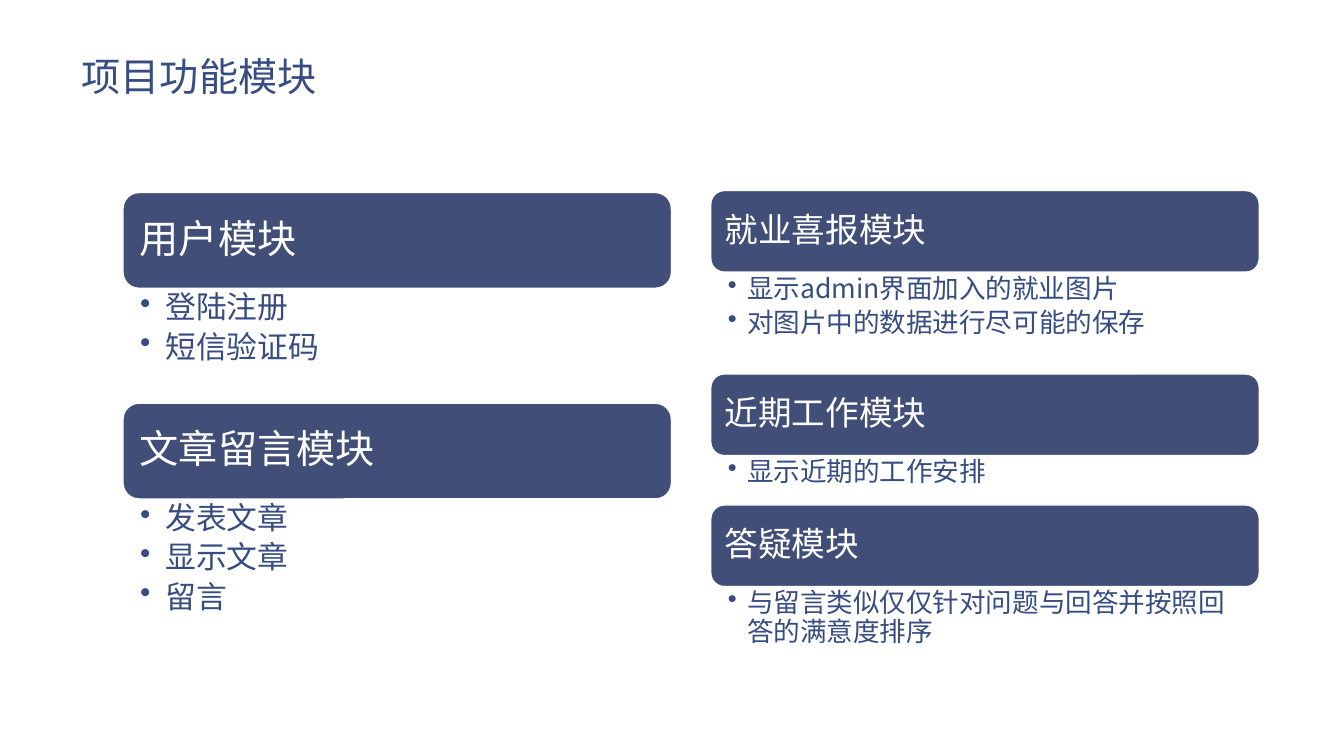
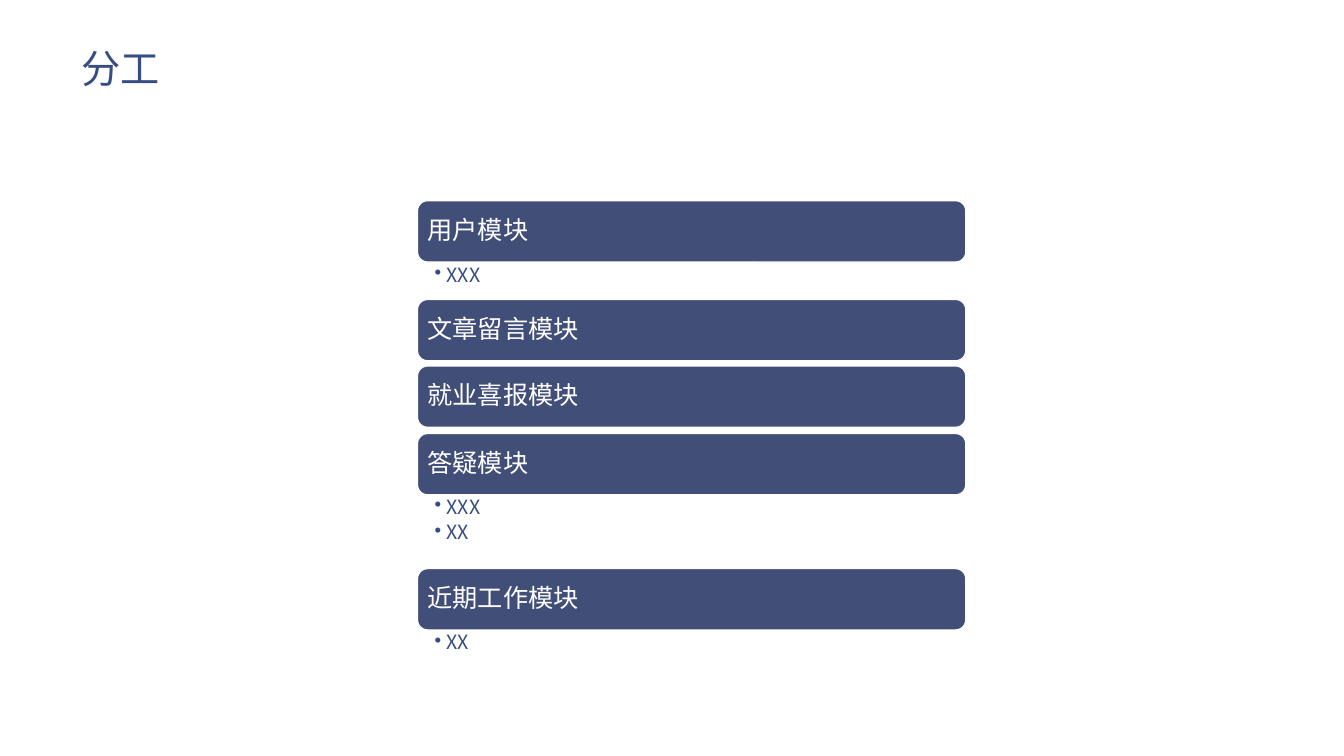
from lxml import etree
from pptx import Presentation, util as u
from pptx.dml.color import RGBColor
from pptx.enum import shapes, text
from pptx.oxml.ns import qn

PX = 9144  # 100 px to the inch
FONT = "Noto Sans CJK SC"
NAVY, BAR, WHITE = "374C81", "414E77", "FFFFFF"


def color(code):
    return RGBColor.from_string(code)


def fill(frame, lines, size, tint, pads, anchor, space, after=0, hang=0):
    """Set lines of text in a frame; a hang above 0 makes them bullets."""
    frame.word_wrap = True
    frame.vertical_anchor = anchor
    (frame.margin_left, frame.margin_top,
     frame.margin_right, frame.margin_bottom) = [p * PX for p in pads]
    for i, line in enumerate(lines):
        para = frame.add_paragraph() if i else frame.paragraphs[0]
        para.alignment = text.PP_ALIGN.LEFT
        if hang:
            props = para._p.get_or_add_pPr()
            props.set("marL", str(hang * PX))
            props.set("indent", str(-hang * PX))
            etree.SubElement(props, qn("a:buChar")).set("char", "•")
        para.line_spacing = space
        para.space_after = u.Pt(after)
        run = para.add_run()
        run.text = line
        run.font.size = u.Pt(size)
        run.font.name = FONT
        run.font.color.rgb = color(tint)
        east = etree.SubElement(run._r.get_or_add_rPr(), qn("a:ea"))
        east.set("typeface", FONT)


# Stack: left, top, bar height, bar text size, bar inset, bullet text size,
# bullet insets, bullet indent, then (heading, height below bar, bullets)
slides = [
    ("项目功能模块", 44, 62, [
        (122, 191, 95, 28, 12, 22, (17, 4, 22, 4), 25, [
            ("用户模块", 114, ["登陆注册", "短信验证码"]),
            ("文章留言模块", 174, ["发表文章", "显示文章", "留言"]),
        ]),
        (705, 189, 81, 24, 10, 19, (17, 3, 19, 3), 19, [
            ("就业喜报模块", 101, ["显示admin界面加入的就业图片", "对图片中的数据进行尽可能的保存"]),
            ("近期工作模块", 49, ["显示近期的工作安排"]),
            ("答疑模块", 90, ["与留言类似仅仅针对问题与回答并按照回答的满意度排序"]),
        ]),
    ]),
    ("分工", 21, 77, [
        (414, 199, 61, 18, 7, 14, (17, 3, 14, 3), 12, [
            ("用户模块", 37, ["XXX"]),
            ("文章留言模块", 5, []),
            ("就业喜报模块", 6, []),
            ("答疑模块", 73, ["XXX", "XX"]),
            ("近期工作模块", 37, ["XX"]),
        ]),
    ]),
]
WIDE = 544

deck = Presentation()
deck.slide_width, deck.slide_height = 1333 * PX, 750 * PX

for title, top, high, stacks in slides:
    slide = deck.slides.add_slide(deck.slide_layouts[6])
    slide.background.fill.solid()
    slide.background.fill.fore_color.rgb = color(WHITE)
    box = slide.shapes.add_textbox(68 * PX, top * PX, 1111 * PX, high * PX)
    fill(box.text_frame, [title], 28, NAVY, (13, 7, 13, 7),
         text.MSO_ANCHOR.BOTTOM, 0.85)

    for left, y, tall, size, pad, small, pads, hang, modules in stacks:
        for head, below, points in modules:
            bar = slide.shapes.add_shape(
                shapes.MSO_SHAPE.ROUNDED_RECTANGLE,
                left * PX, y * PX, WIDE * PX, tall * PX)
            bar.shadow.inherit = False
            bar.fill.solid()
            bar.fill.fore_color.rgb = color(BAR)
            bar.line.color.rgb = color(WHITE)
            bar.line.width = u.Pt(1)
            fill(bar.text_frame, [head], size, WHITE, [pad] * 4,
                 text.MSO_ANCHOR.MIDDLE, 0.9)
            y += tall
            if points:
                box = slide.shapes.add_textbox(
                    left * PX, y * PX, WIDE * PX, below * PX)
                fill(box.text_frame, points, small, NAVY, pads,
                     text.MSO_ANCHOR.TOP, 0.9, small * 0.2, hang)
            y += below

deck.save("out.pptx")
